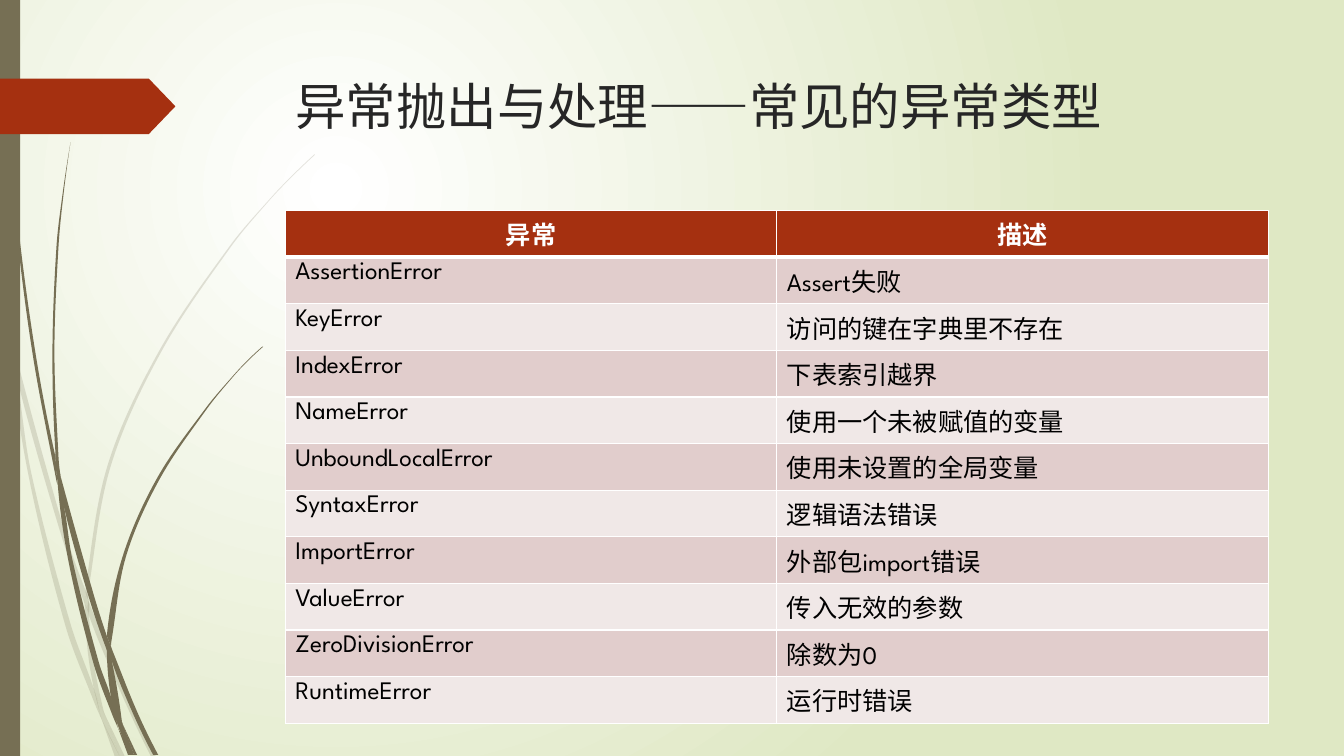
from dataclasses import dataclass
from math import dist
from typing import NamedTuple

from lxml.etree import SubElement
from pptx import Presentation
from pptx.dml.color import RGBColor
from pptx.enum.shapes import MSO_SHAPE
from pptx.enum.text import MSO_ANCHOR, MSO_AUTO_SIZE, PP_ALIGN
from pptx.oxml.ns import qn
from pptx.util import Inches, Pt

RECT, ARROW = MSO_SHAPE.RECTANGLE, MSO_SHAPE.PENTAGON
TOP, FIXED = MSO_ANCHOR.TOP, MSO_AUTO_SIZE.NONE
LEFT, CENTER = PP_ALIGN.LEFT, PP_ALIGN.CENTER


@dataclass(frozen=True)
class Theme:
    font: str = "League Spartan"
    head: int = 36
    body: int = 18
    ink: str = "262626"
    text: str = "000000"
    white: str = "FFFFFF"
    green: str = "DFE8C4"
    olive: str = "766F54"
    red: str = "A53010"
    bands: tuple = ("E1CDCC", "F0E8E7")


class Blade(NamedTuple):
    """A piece of grass: one edge out, the other edge back."""
    out: list
    back: list


class Row(NamedTuple):
    name: str
    note: str


LOOK = Theme()

PALE = [
    Blade([(0, 2.82), (0, 2.99), (.1, 3.44), (.11, 3.5)], [(.09, 3.22), (0, 2.82)]),
    Blade([(.14, 3.45), (.17, 3.76), (.58, 5.22), (.84, 5.99)],
          [(.85, 5.86), (.62, 5.2), (.14, 3.45)]),
    Blade([(.88, 5.96), (.88, 6.1), (1.23, 6.94), (1.5, 7.51)],
          [(1.55, 7.51), (1.27, 6.92), (.92, 6.07), (.88, 5.96)]),
    Blade([(1.05, 7.11), (1.19, 7.51)], [(1.24, 7.51), (1.05, 7.11)]),
    Blade([(.11, 3.5), (.28, 4.7), (.65, 6.21), (.92, 6.93), (1.01, 7.14)],
          [(.99, 7.07), (.93, 6.83), (.7, 6.19), (.31, 4.69), (.17, 3.76), (.11, 3.5)]),
    Blade([(.84, 5.99), (.87, 6.46), (.93, 6.83), (.96, 6.92), (1.05, 7.11)],
          [(1.03, 7.06), (.91, 6.46), (.88, 6.1), (.84, 5.99)]),
    Blade([(.88, 5.96), (.88, 5.84), (1.1, 4.62), (1.6, 3.49), (2.29, 2.45),
           (2.68, 1.98), (2.9, 1.75), (3.12, 1.54)],
          [(3.12, 1.53), (2.89, 1.75), (2.68, 1.97), (2.28, 2.44), (1.58, 3.48),
           (1.07, 4.61), (.85, 5.84), (.88, 5.96)]),
    Blade([(1.01, 7.14), (1.14, 7.51)], [(1.19, 7.51), (1.01, 7.14)]),
    Blade([(.85, 5.86), (.88, 5.96), (.88, 6.1)], [(.88, 6.08), (.84, 5.99)]),
    Blade([(.93, 6.83), (.99, 7.07), (1.01, 7.14), (1.19, 7.51)],
          [(1.05, 7.11), (.96, 6.92), (.93, 6.83)]),
]
DARK = [
    Blade([(.03, 0), (.04, .48), (.07, 1.1), (.17, 2.33), (.33, 3.55), (.56, 4.77),
           (.57, 4.81)],
          [(.55, 4.53), (.36, 3.55), (.19, 2.32), (.08, 1.09), (.05, .48), (.04, 0)]),
    Blade([(.6, 4.72), (.64, 5.05), (.88, 5.92), (1.06, 6.45)],
          [(1.06, 6.31), (.93, 5.9), (.6, 4.72)]),
    Blade([(1.1, 6.41), (1.11, 6.56), (1.32, 7.08), (1.52, 7.49)],
          [(1.57, 7.49), (1.36, 7.06), (1.13, 6.49), (1.1, 6.41)]),
    Blade([(.57, 4.77), (.68, 5.57), (.93, 6.59), (1.11, 7.08), (1.17, 7.22)],
          [(1.16, 7.17), (1.1, 6.91), (.98, 6.57), (.72, 5.56), (.64, 5.05), (.57, 4.77)]),
    Blade([(.6, 4.72), (.58, 4.53), (.54, 3.49), (.58, 2.45), (.63, 1.93), (.7, 1.41)],
          [(.7, 1.41), (.62, 1.93), (.56, 2.45), (.52, 3.49), (.55, 4.49), (.6, 4.72)]),
    Blade([(1.22, 7.19), (1.33, 7.49)], [(1.36, 7.49), (1.22, 7.19)]),
    Blade([(.55, 4.49), (.57, 4.77), (.64, 5.05)], [(.6, 4.72), (.55, 4.49)]),
    Blade([(1.1, 6.41), (1.11, 6.33), (1.25, 5.52), (1.58, 4.76), (2.05, 4.06),
           (2.31, 3.74), (2.45, 3.59), (2.61, 3.44)],
          [(2.6, 3.44), (2.45, 3.58), (2.31, 3.73), (2.04, 4.05), (1.56, 4.74),
           (1.22, 5.51), (1.06, 6.31)]),
    Blade([(1.17, 7.22), (1.27, 7.49)], [(1.31, 7.49), (1.17, 7.22)]),
    Blade([(1.06, 6.45), (1.1, 6.91), (1.16, 7.06), (1.22, 7.19)],
          [(1.21, 7.16), (1.11, 6.56), (1.06, 6.45)]),
    Blade([(1.06, 6.31), (1.06, 6.45), (1.11, 6.56)], [(1.1, 6.41), (1.06, 6.31)]),
    Blade([(1.1, 6.91), (1.16, 7.17), (1.3, 7.49)],
          [(1.33, 7.49), (1.22, 7.19), (1.1, 6.91)]),
]

TITLE = "异常抛出与处理——常见的异常类型"
ROWS = [
    Row("异常", "描述"),
    Row("AssertionError", "Assert失败"),
    Row("KeyError", "访问的键在字典里不存在"),
    Row("IndexError", "下表索引越界"),
    Row("NameError", "使用一个未被赋值的变量"),
    Row("UnboundLocalError", "使用未设置的全局变量"),
    Row("SyntaxError", "逻辑语法错误"),
    Row("ImportError", "外部包import错误"),
    Row("ValueError", "传入无效的参数"),
    Row("ZeroDivisionError", "除数为0"),
    Row("RuntimeError", "运行时错误"),
]


def bends(pts: list) -> list:
    """Two control points for each step of a soft edge through pts."""
    gaps = [dist(a, b) for a, b in zip(pts, pts[1:])]
    runs = [[(q - p) / gap for p, q in zip(a, b)]
            for a, b, gap in zip(pts, pts[1:], gaps)]
    mids = [[(u * g + v * h) / (g + h) for u, v in zip(a, b)]
            for a, b, g, h in zip(runs, runs[1:], gaps, gaps[1:])]
    first, last = (mids[0], mids[-1]) if mids else (runs[0], runs[0])
    tans = [[2 * u - v for u, v in zip(runs[0], first)], *mids,
            [2 * u - v for u, v in zip(runs[-1], last)]]
    return [([p + t * gap / 3 for p, t in zip(pts[i], tans[i])],
             [p - t * gap / 3 for p, t in zip(pts[i + 1], tans[i + 1])])
            for i, gap in enumerate(gaps)]


def paint(shape, color: str, alpha: int = 100) -> None:
    shape.shadow.inherit = False
    shape.fill.solid()
    shape.fill.fore_color.rgb = RGBColor.from_string(color)
    shape.line.fill.background()
    if alpha < 100:
        tint = shape.fill._xPr.find(".//" + qn("a:srgbClr"))
        SubElement(tint, qn("a:alpha"), val=str(alpha * 1000))


def grass(slide, blades: list, alpha: int) -> None:
    group = slide.shapes.add_group_shape()
    for out, back in blades:
        pts = [(Inches(x), Inches(y)) for x, y in out + back]
        pen = group.shapes.build_freeform(*pts[0])
        pen.add_line_segments(pts[1:])
        shape = pen.convert_to_shape()
        left, top = min(x for x, _ in pts), min(y for _, y in pts)
        steps = list(shape._element.iter(qn("a:lnTo")))
        for step, pair in zip(steps, bends(out) + [None] + bends(back)):
            if pair:  # turn a straight step into a curve
                step.tag = qn("a:cubicBezTo")
                for i, (x, y) in enumerate(pair):
                    spot = SubElement(step, qn("a:pt"), x=str(Inches(x) - left),
                                      y=str(Inches(y) - top))
                    step.insert(i, spot)
        paint(shape, LOOK.olive, alpha)


def write(frame, text: str, size: int, color: str, align, bold: bool = False) -> None:
    para = frame.paragraphs[0]
    para.alignment = align
    run = para.add_run()
    run.text = text
    run.font.name, run.font.size, run.font.bold = LOOK.font, Pt(size), bold
    run.font.color.rgb = RGBColor.from_string(color)


def border(cell, side: str, width: int) -> None:
    line = SubElement(cell._tc.get_or_add_tcPr(), qn("a:ln" + side), w=str(Pt(width)))
    SubElement(SubElement(line, qn("a:solidFill")), qn("a:srgbClr"), val=LOOK.white)


def grid(slide) -> None:
    table = slide.shapes.add_table(len(ROWS), 2, Inches(2.83), Inches(2.09),
                                   Inches(9.75), Inches(4.46)).table
    for r, row in enumerate(ROWS):
        head = r == 0
        for c, text in enumerate(row):
            cell = table.cell(r, c)
            for side in "LRTB":
                border(cell, side, 3 if (r, side) in ((0, "B"), (1, "T")) else 1)
            cell.fill.solid()
            cell.fill.fore_color.rgb = RGBColor.from_string(
                LOOK.red if head else LOOK.bands[(r - 1) % 2])
            write(cell.text_frame, text, LOOK.body, LOOK.white if head else LOOK.text,
                  CENTER if head else LEFT, head)


deck = Presentation()
deck.slide_width, deck.slide_height = Inches(13.33), Inches(7.5)
slide = deck.slides.add_slide(deck.slide_layouts[5])
# Round glow in the background
fill = slide.background.fill
fill.gradient()
for stop, color in zip(fill.gradient_stops, (LOOK.white, LOOK.green)):
    stop.color.rgb = RGBColor.from_string(color)
glow = slide._element.find(".//" + qn("a:gradFill"))
glow.remove(glow.find(qn("a:lin")))
SubElement(SubElement(glow, qn("a:path"), {"path": "circle"}), qn("a:fillToRect"),
           l="50000", t="50000", r="100000", b="100000")
# Grass, side bar and arrow
grass(slide, PALE, 20)
grass(slide, DARK, 100)
paint(slide.shapes.add_shape(RECT, 0, 0, Inches(0.2), Inches(7.5)), LOOK.olive)
arrow = slide.shapes.add_shape(ARROW, 0, Inches(0.78), Inches(1.74), Inches(0.55))
arrow.adjustments[0] = 0.48
paint(arrow, LOOK.red)
# Title and table
title = slide.shapes.title
title.left, title.top = Inches(2.83), Inches(0.69)
title.width, title.height = Inches(9.75), Inches(1.4)
title.text_frame.vertical_anchor, title.text_frame.auto_size = TOP, FIXED
write(title.text_frame, TITLE, LOOK.head, LOOK.ink, LEFT)
grid(slide)
deck.save("out.pptx")
